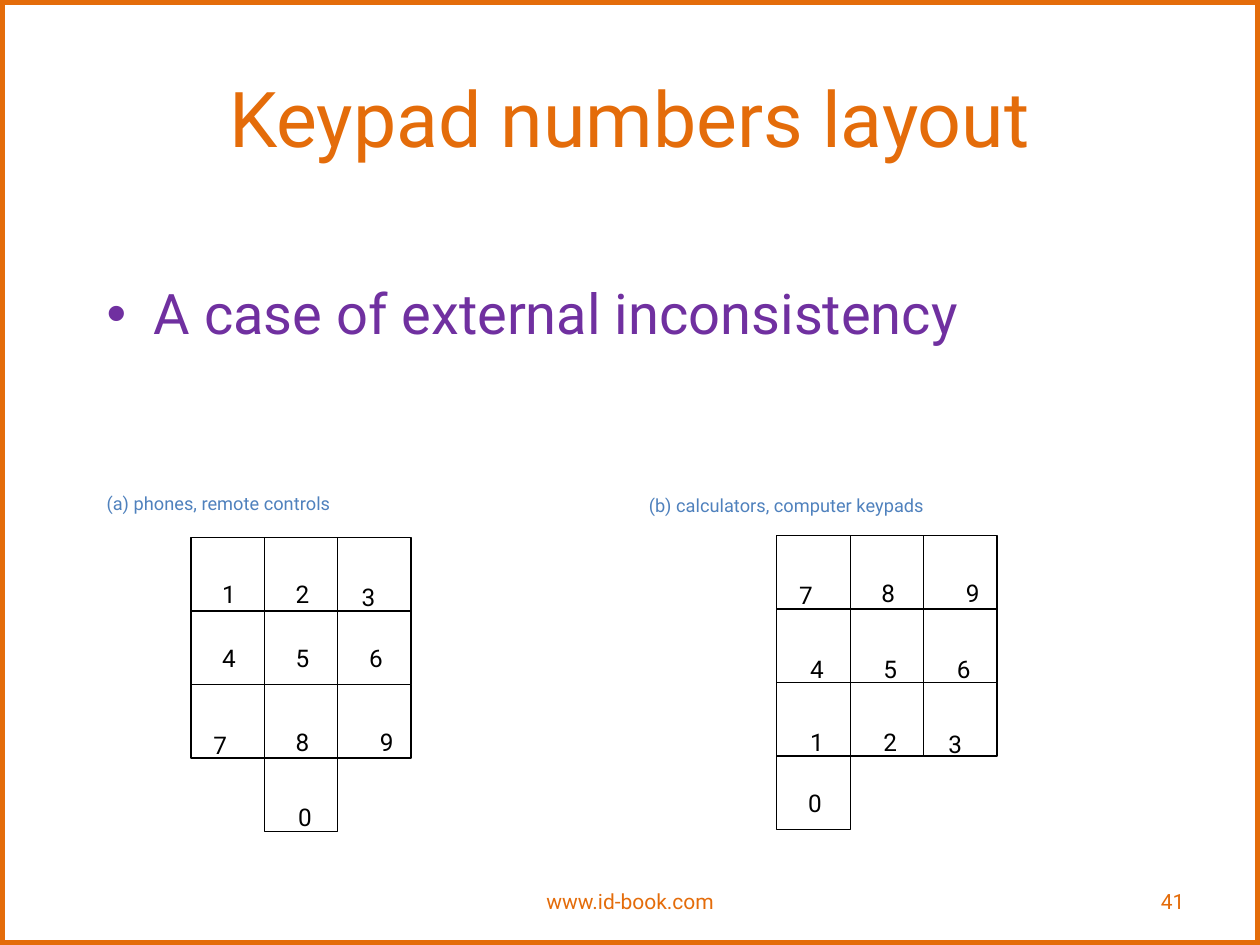
"""Build a slide comparing the number layouts of two kinds of keypad."""
from lxml import etree
from pptx import Presentation
from pptx.dml.color import RGBColor
from pptx.enum.shapes import MSO_SHAPE
from pptx.enum.text import MSO_ANCHOR, MSO_AUTO_SIZE, PP_ALIGN
from pptx.oxml.ns import qn
from pptx.util import Cm, Pt

RECTANGLE = MSO_SHAPE.RECTANGLE
TOP, MIDDLE = MSO_ANCHOR.TOP, MSO_ANCHOR.MIDDLE
FIT_SHAPE = MSO_AUTO_SIZE.SHAPE_TO_FIT_TEXT
LEFT, CENTER, RIGHT = PP_ALIGN.LEFT, PP_ALIGN.CENTER, PP_ALIGN.RIGHT
ORANGE, PURPLE, BLUE, BLACK = "E46C0A", "7030A0", "4F81BD", "000000"
CELL = 1.48

deck = Presentation()
deck.slide_width, deck.slide_height = Cm(25.4), Cm(19.05)
page = deck.slides.add_slide(deck.slide_layouts[6])


def add_outline(left, top, width, height, color, weight):
    box = page.shapes.add_shape(RECTANGLE, Cm(left), Cm(top), Cm(width), Cm(height))
    box.shadow.inherit = False
    box.fill.background()
    box.line.color.rgb = RGBColor.from_string(color)
    box.line.width = Pt(weight)


def add_text(text, left, top, width, height, size, color,
             align=LEFT, anchor=TOP, bullet=False, subscript=False):
    box = page.shapes.add_textbox(Cm(left), Cm(top), Cm(width), Cm(height))
    frame = box.text_frame
    frame.word_wrap = not subscript
    frame.vertical_anchor = anchor
    para = frame.paragraphs[0]
    para.alignment = align
    if bullet:
        properties = para._p.get_or_add_pPr()
        properties.set("marL", str(Cm(0.95)))
        properties.set("indent", str(Cm(-0.95)))
        etree.SubElement(properties, qn("a:buFont"), typeface="Arial")
        etree.SubElement(properties, qn("a:buChar"), char="•")
    span = para.add_run()
    span.text = text
    span.font.name = "Roboto"
    span.font.size = Pt(size)
    span.font.color.rgb = RGBColor.from_string(color)
    if subscript:
        frame.auto_size = FIT_SHAPE
        span._r.get_or_add_rPr().set("baseline", "-25000")


add_outline(0, 0, 25.4, 19.05, ORANGE, 6)
add_text("Keypad numbers layout", 1.27, 0.76, 22.86, 3.18, 44, ORANGE, CENTER, MIDDLE)
add_text("A case of external inconsistency", 1.9, 5.5, 22.23, 11.43, 32, PURPLE, bullet=True)

# Each key: digit, column, row, and the digit's offset inside its cell.
phone_keys = [
    ("1", 0, 0, 0.38, 0.15), ("2", 1, 0, 0.38, 0.15), ("3", 2, 0, 0.23, 0.2),
    ("4", 0, 1, 0.38, -0.05), ("5", 1, 1, 0.38, -0.05), ("6", 2, 1, 0.38, -0.05),
    ("7", 0, 2, 0.2, 0.22), ("8", 1, 2, 0.38, 0.17), ("9", 2, 2, 0.6, 0.17),
    ("0", 1, 3, 0.43, 0.2),
]
calculator_keys = [
    ("7", 0, 0, 0.2, 0.2), ("8", 1, 0, 0.38, 0.17), ("9", 2, 0, 0.6, 0.17),
    ("4", 0, 1, 0.42, 0.22), ("5", 1, 1, 0.42, 0.22), ("6", 2, 1, 0.42, 0.22),
    ("1", 0, 2, 0.42, 0.2), ("2", 1, 2, 0.42, 0.2), ("3", 2, 2, 0.25, 0.25),
    ("0", 0, 3, 0.38, -0.05),
]
for pad_left, pad_top, keys in [(3.85, 10.84, phone_keys), (15.66, 10.8, calculator_keys)]:
    for digit, column, row, shift_x, shift_y in keys:
        left, top = pad_left + column * CELL, pad_top + row * CELL
        add_outline(left, top, CELL, CELL, BLACK, 0.75)
        add_text(digit, left + shift_x, top + shift_y, 0.99, 1.27, 24, BLACK, subscript=True)

add_text("(a) phones, remote controls", 1.9, 9.37, 8.36, 1.02, 18, BLUE, subscript=True)
add_text("(b) calculators, computer keypads", 12.83, 9.42, 10.13, 1.02, 18, BLUE, subscript=True)
add_text("41", 18.2, 17.65, 5.93, 1.02, 12, ORANGE, RIGHT, MIDDLE)
add_text("www.id-book.com", 8.68, 17.65, 8.05, 1.02, 12, ORANGE, CENTER, MIDDLE)

deck.save("out.pptx")
